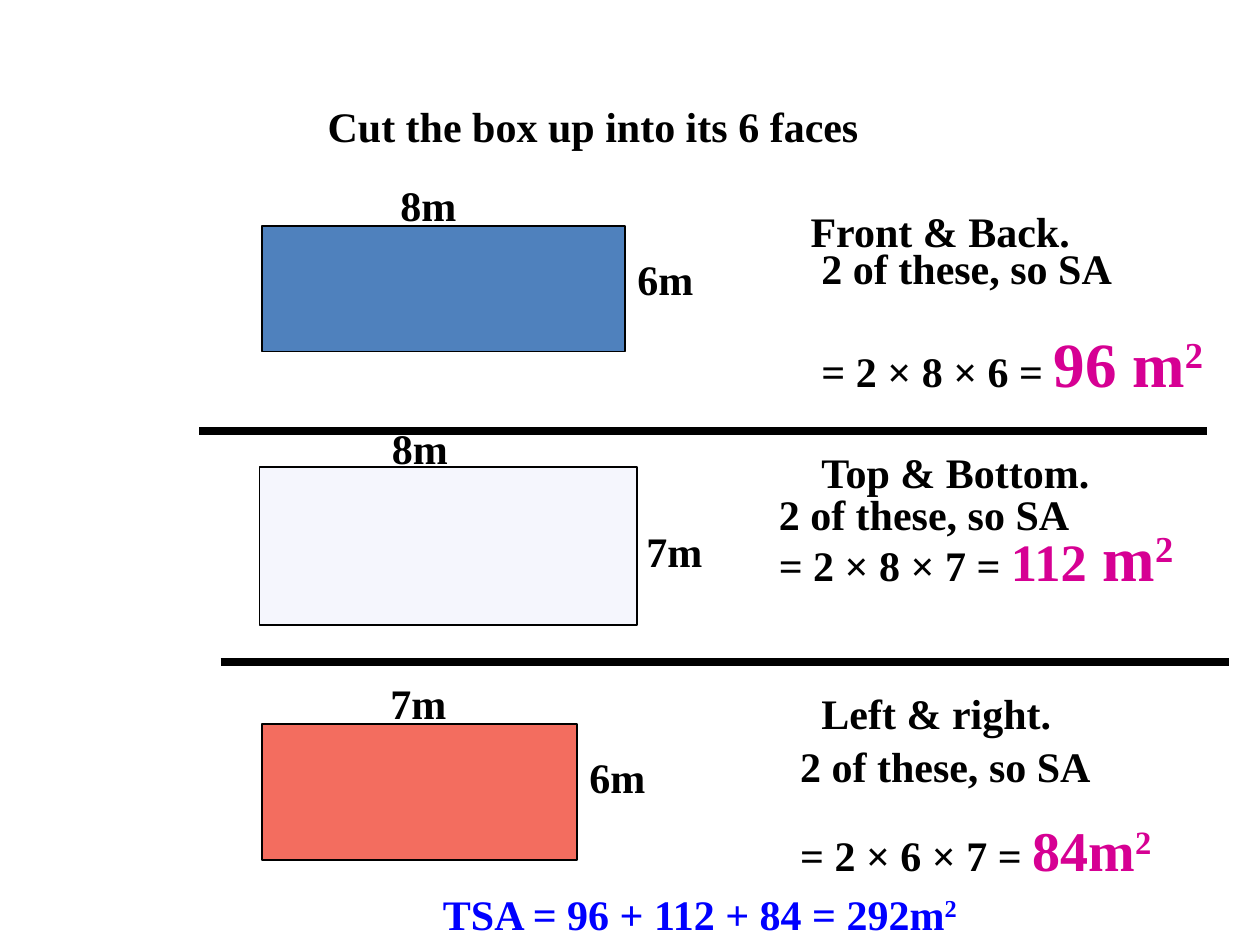
from pptx import Presentation
from pptx.dml.color import RGBColor
from pptx.enum.shapes import MSO_CONNECTOR, MSO_SHAPE
from pptx.enum.text import MSO_ANCHOR, MSO_AUTO_SIZE, PP_ALIGN
from pptx.oxml.ns import qn
from pptx.util import Cm, Pt
from lxml.etree import SubElement

BLACK = RGBColor(0, 0, 0)
PINK = RGBColor(0xD6, 0x00, 0x93)
BLUE = RGBColor(0, 0, 0xFF)
STEEL = RGBColor(0x4F, 0x81, 0xBD)
PALE = RGBColor(0xF5, 0xF6, 0xFD)
CORAL = RGBColor(0xF3, 0x6D, 0x5F)


def write(para, text, size=24, color=BLACK, raised=False):
    run = para.add_run()
    run.text = text
    font = run.font
    font.name = "Times New Roman"
    font.size = Pt(size)
    font.bold = True
    font.color.rgb = color
    if raised:
        run._r.get_or_add_rPr().set("baseline", "30000")


def frame(shapes, left, top, width, height=1.27):
    box = shapes.add_textbox(Cm(left), Cm(top), Cm(width), Cm(height))
    area = box.text_frame
    area.word_wrap = True
    area.auto_size = MSO_AUTO_SIZE.SHAPE_TO_FIT_TEXT
    return area


def title(slide, left, top, width, height):
    head = slide.shapes.title
    head.left, head.top = Cm(left), Cm(top)
    head.width, head.height = Cm(width), Cm(height)
    area = head.text_frame
    area.auto_size = MSO_AUTO_SIZE.NONE
    area.vertical_anchor = MSO_ANCHOR.TOP
    para = area.paragraphs[0]
    para.alignment = PP_ALIGN.LEFT
    para.space_before = Pt(0)
    write(para, "Cut the box up into its 6 faces")


def face(slide, left, top, width, height, fill, labels):
    shapes = slide.shapes.add_group_shape().shapes
    rect = shapes.add_shape(MSO_SHAPE.RECTANGLE, Cm(left), Cm(top), Cm(width), Cm(height))
    rect.shadow.inherit = False
    rect.fill.solid()
    rect.fill.fore_color.rgb = fill
    rect.line.color.rgb = BLACK
    rect.line.width = Pt(1)
    for name, across, down in labels:
        area = frame(shapes, left + across, top + down, 2.11)
        write(area.paragraphs[0], name)


def notes(slide, left, top, width, name, shift, drop, parts, heads, lines, gap):
    para = frame(slide.shapes, left + shift, top, 7.42).paragraphs[0]
    para.line_spacing = heads
    write(para, name)
    area = frame(slide.shapes, left, top + drop, width, 2.8)
    first = area.paragraphs[0]
    first.line_spacing = lines[0]
    write(first, "2 of these, so SA")
    last = area.add_paragraph()
    last.line_spacing = lines[1]
    last.space_before = Pt(gap)
    sum_text, *area_parts = parts
    write(last, sum_text)
    for text, size in area_parts:
        write(last, text, size=size, color=PINK)
    write(last, "2", size=area_parts[-1][1], color=PINK, raised=True)


def rule(slide, left, top, width):
    line = slide.shapes.add_connector(
        MSO_CONNECTOR.STRAIGHT, Cm(left), Cm(top), Cm(left + width), Cm(top))
    line.line.color.rgb = BLACK
    line.line.width = Pt(4.5)
    SubElement(line._element.spPr, qn("a:effectLst"))


def total(slide, left, top, width):
    para = frame(slide.shapes, left, top, width).paragraphs[0]
    write(para, "TSA = 96 + 112 + 84 = 292m", color=BLUE)
    write(para, "2", color=BLUE, raised=True)


def main():
    deck = Presentation()
    deck.slide_width, deck.slide_height = Cm(25.4), Cm(19.05)
    slide = deck.slides.add_slide(deck.slide_layouts[5])

    title(slide, 6.35, 1.9, 12.07, 1.27)

    face(slide, 5.28, 4.55, 7.32, 2.54, STEEL,
         [("8m", 2.54, -1.06), ("6m", 7.32, 0.43)])
    face(slide, 5.23, 9.42, 7.62, 3.18, PALE,
         [("8m", 2.42, -1.02), ("7m", 7.55, 1.04)])
    face(slide, 5.28, 14.6, 6.35, 2.74, CORAL,
         [("7m", 2.34, -1.06), ("6m", 6.35, 0.43)])

    notes(slide, 16.31, 4.02, 8.26, "Front & Back.", -0.22, 1.06,
          ["= 2 × 8 × 6 = ", ("96 m", 36)], 1.0, (Pt(20), 1.0), 18)
    notes(slide, 15.45, 9.32, 9.09, "Top & Bottom.", 0.86, 0.84,
          ["= 2 × 8 × 7 = ", ("112", 30), (" m", 36)], 0.5, (0.5, 0.5), 9)
    notes(slide, 15.88, 14.18, 7.82, "Left & right.", 0.43, 1.06,
          ["= 2 × 6 × 7 = ", ("84m", 32)], 0.5, (0.5, 1.0), 16)

    rule(slide, 4.02, 8.68, 20.32)
    rule(slide, 4.45, 13.34, 20.32)
    total(slide, 8.68, 17.78, 11.43)

    deck.save("out.pptx")


if __name__ == "__main__":
    main()
